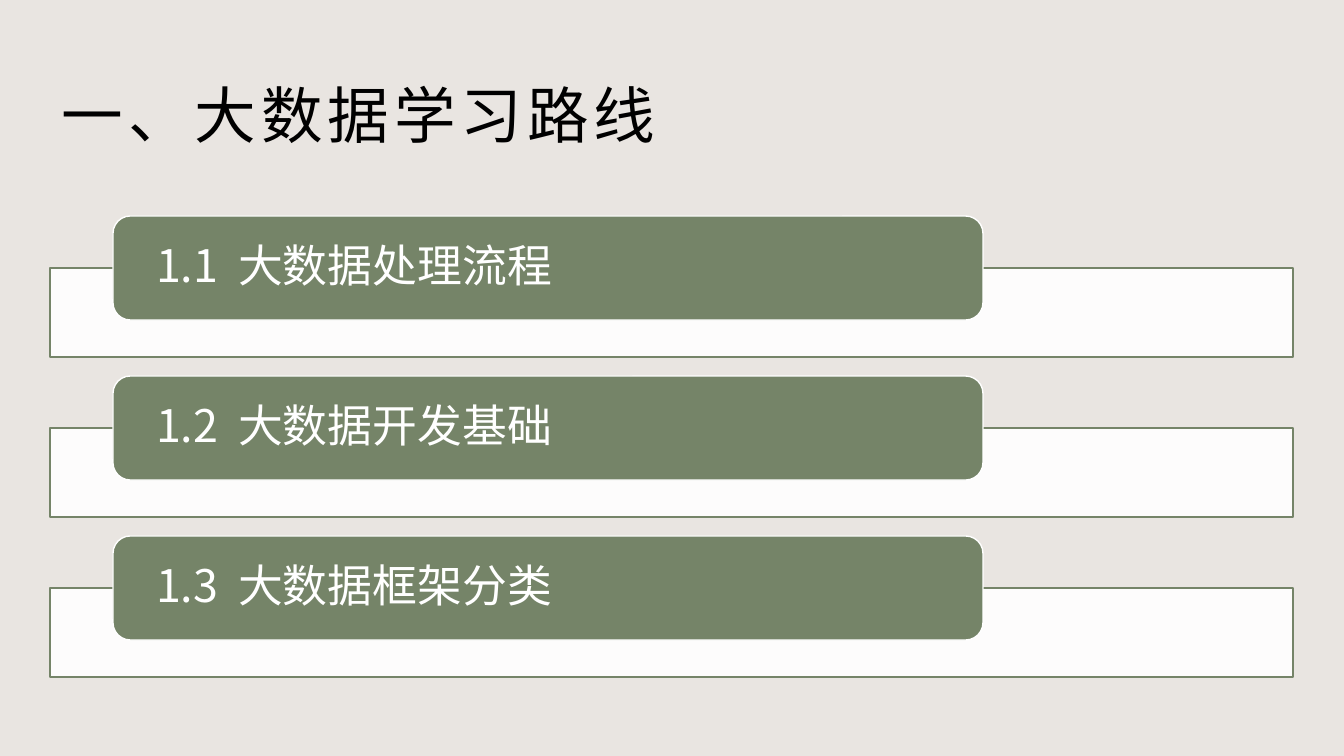
"""Build the section slide: a title above three overlapping topic bars."""
from lxml import etree
from pptx import Presentation
from pptx.dml.color import RGBColor
from pptx.enum.shapes import MSO_SHAPE
from pptx.enum.text import MSO_ANCHOR, MSO_AUTO_SIZE, PP_ALIGN
from pptx.oxml.ns import qn
from pptx.util import Pt

TITLE = "一、大数据学习路线"
TOPICS = [("1.1", "大数据处理流程"), ("1.2", "大数据开发基础"), ("1.3", "大数据框架分类")]
FONT = "Noto Sans CJK SC"
BACKGROUND, BAR, GREEN, WHITE, BLACK = "E9E5E1", "FDFCFC", "758468", "FFFFFF", "000000"
TITLE_BOX = (50, 40, 1202, 146)
BAR_BOX = (50, 268, 1243, 89)
LABEL_BOX = (113, 216, 870, 104)
PITCH = 160


def px(pixels):
    return round(pixels * 914400 / 100.8)


def color(value):
    return RGBColor.from_string(value)


def set_text(shape, runs, size, ink, insets):
    frame = shape.text_frame
    frame.word_wrap = True
    frame.auto_size = MSO_AUTO_SIZE.NONE
    frame.vertical_anchor = MSO_ANCHOR.MIDDLE
    (frame.margin_left, frame.margin_top,
     frame.margin_right, frame.margin_bottom) = map(px, insets)
    paragraph = frame.paragraphs[0]
    paragraph.alignment = PP_ALIGN.LEFT
    for text, spacing in runs:
        run = paragraph.add_run()
        run.text = text
        run.font.size = Pt(size)
        run.font.name = FONT
        run.font.color.rgb = color(ink)
        properties = run.font._element
        properties.set("spc", str(spacing))
        etree.SubElement(properties, qn("a:ea")).set("typeface", FONT)
    return paragraph


def add_box(kind, box, row, fill, line):
    left, top, width, height = box
    shape = slide.shapes.add_shape(
        kind, *map(px, (left, top + row * PITCH, width, height)))
    shape.shadow.inherit = False
    shape.fill.solid()
    shape.fill.fore_color.rgb = color(fill)
    shape.line.color.rgb = color(line)
    shape.line.width = Pt(1)
    return shape


prs = Presentation()
prs.slide_width, prs.slide_height = px(1344), px(756)
slide = prs.slides.add_slide(prs.slide_layouts[5])
slide.background.fill.solid()
slide.background.fill.fore_color.rgb = color(BACKGROUND)

title = slide.shapes.title
title.left, title.top, title.width, title.height = map(px, TITLE_BOX)
set_text(title, [(TITLE, 350)], 44, BLACK, (12, 12, 12, 10))

for row, (number, topic) in enumerate(TOPICS):
    add_box(MSO_SHAPE.RECTANGLE, BAR_BOX, row, BAR, GREEN)
    label = add_box(MSO_SHAPE.ROUNDED_RECTANGLE, LABEL_BOX, row, GREEN, WHITE)
    runs = [(number, 0), (" ", 700), (topic, 0)]
    set_text(label, runs, 32, WHITE, (38, 0, 38, 0)).line_spacing = 0.9

prs.save("out.pptx")
